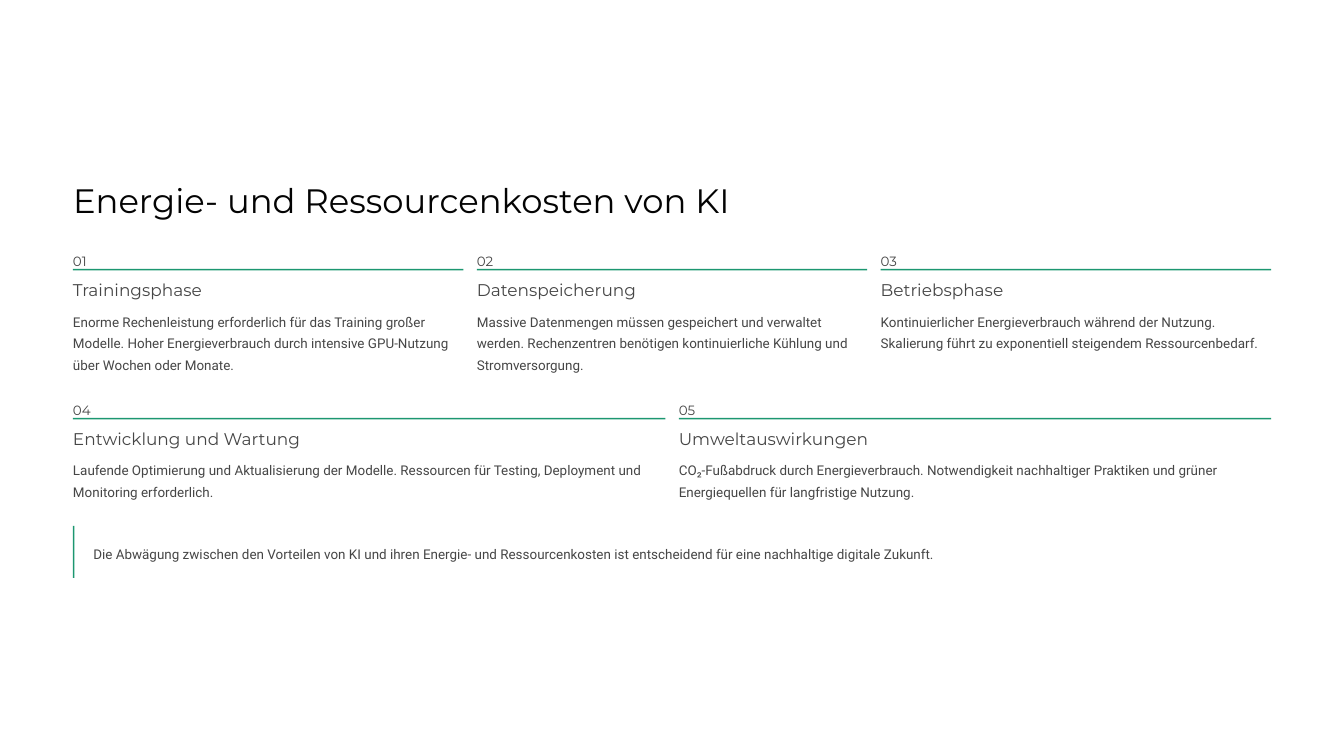
from pptx import Presentation
from pptx.dml.color import RGBColor
from pptx.enum.shapes import MSO_SHAPE
from pptx.enum.text import MSO_ANCHOR, MSO_AUTO_SIZE, PP_ALIGN
from pptx.util import Pt

HEADING_FONT, BODY_FONT = "Montserrat", "Roboto"
BLACK, GREY, GREEN = "030303", "464646", "1C9770"
LEFT, WIDTH, GAP = 62.6, 1027, 11.5
RULE = 1.2

ROWS = [
    (212.3, [
        ("Trainingsphase",
         "Enorme Rechenleistung erforderlich für das Training großer Modelle. "
         "Hoher Energieverbrauch durch intensive GPU-Nutzung über Wochen oder Monate."),
        ("Datenspeicherung",
         "Massive Datenmengen müssen gespeichert und verwaltet werden. "
         "Rechenzentren benötigen kontinuierliche Kühlung und Stromversorgung."),
        ("Betriebsphase",
         "Kontinuierlicher Energieverbrauch während der Nutzung. "
         "Skalierung führt zu exponentiell steigendem Ressourcenbedarf."),
    ]),
    (340, [
        ("Entwicklung und Wartung",
         "Laufende Optimierung und Aktualisierung der Modelle. "
         "Ressourcen für Testing, Deployment und Monitoring erforderlich."),
        ("Umweltauswirkungen",
         "CO₂-Fußabdruck durch Energieverbrauch. Notwendigkeit nachhaltiger "
         "Praktiken und grüner Energiequellen für langfristige Nutzung."),
    ]),
]
CONCLUSION = ("Die Abwägung zwischen den Vorteilen von KI und ihren Energie- und Ressourcenkosten "
              "ist entscheidend für eine nachhaltige digitale Zukunft.")


def color(hex_value):
    return RGBColor.from_string(hex_value)


def write(sp, text, size=11.5, font=BODY_FONT, fill=GREY, spacing=18.5):
    tf = sp.text_frame
    tf.margin_left = tf.margin_top = tf.margin_right = tf.margin_bottom = 0
    tf.word_wrap = True
    tf.auto_size = MSO_AUTO_SIZE.NONE
    tf.vertical_anchor = MSO_ANCHOR.TOP
    p = tf.paragraphs[0]
    p.alignment = PP_ALIGN.LEFT
    p.line_spacing = Pt(spacing)
    p.space_before = Pt(0)
    r = p.add_run()
    r.text = text
    r.font.name, r.font.size = font, Pt(size)
    r.font.color.rgb = color(fill)


def add_text(s, x, y, w, h, text, **fmt):
    write(s.shapes.add_textbox(Pt(x), Pt(y), Pt(w), Pt(h)), text, **fmt)


def add_bar(s, x, y, w, h):
    sp = s.shapes.add_shape(MSO_SHAPE.RECTANGLE, Pt(x), Pt(y), Pt(w), Pt(h))
    sp.shadow.inherit = False
    sp.fill.solid()
    sp.fill.fore_color.rgb = color(GREEN)
    sp.line.fill.background()


def add_title(s, text):
    sp = s.shapes.title
    sp.left, sp.top, sp.width, sp.height = Pt(LEFT), Pt(152.6), Pt(WIDTH), Pt(36)
    write(sp, text, size=29, font=HEADING_FONT, fill=BLACK, spacing=36)


def add_topic(s, x, y, w, number, heading, body):
    add_text(s, x, y, w, 14.4, f"{number:02}", font=HEADING_FONT)
    add_bar(s, x, y + 18.3, w, RULE)
    add_text(s, x, y + 26.6, w, 18, heading, size=14.5, font=HEADING_FONT, spacing=18)
    add_text(s, x, y + 51.8, w, 55.5, body)


def main():
    prs = Presentation()
    prs.slide_width, prs.slide_height = Pt(1152), Pt(648)
    s = prs.slides.add_slide(prs.slide_layouts[5])
    add_title(s, "Energie- und Ressourcenkosten von KI")
    number = 0
    for y, topics in ROWS:
        w = (WIDTH - GAP * (len(topics) - 1)) / len(topics)
        for column, (heading, body) in enumerate(topics):
            number += 1
            add_topic(s, LEFT + column * (w + GAP), y, w, number, heading, body)
    add_text(s, 80, 463.7, WIDTH + LEFT - 80, 18.5, CONCLUSION)
    add_bar(s, LEFT, 450.7, RULE, 44.6)
    prs.save("out.pptx")


if __name__ == "__main__":
    main()
